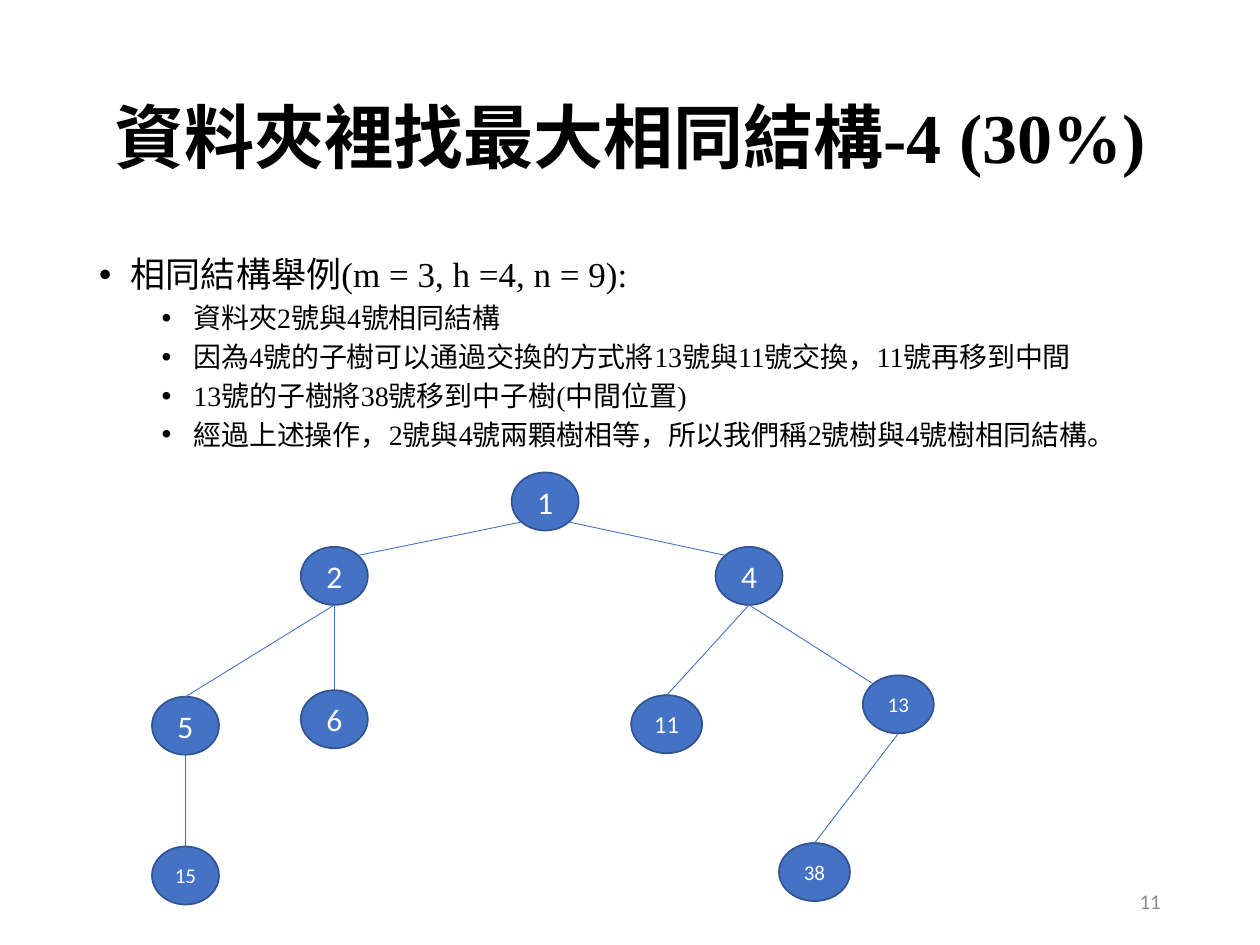
from math import hypot

from lxml import etree
from pptx import Presentation
from pptx import util as u
from pptx.dml.color import RGBColor
from pptx.enum import shapes, text
from pptx.oxml.ns import qn

COLORS = {"ink": "000000", "page_number": "8C8C8C", "node": "4472C4",
          "node_border": "325491", "node_label": "FFFFFF", "edge": "4472C4"}
SERIF, SANS = "Times New Roman", "Calibri"

TITLE = "資料夾裡找最大相同結構-4 (30%)"
EXAMPLE = [
    (0, "相同結構舉例(m = 3, h =4, n = 9):"),
    (1, "資料夾2號與4號相同結構"),
    (1, "因為4號的子樹可以通過交換的方式將13號與11號交換，11號再移到中間"),
    (1, "13號的子樹將38號移到中子樹(中間位置)"),
    (1, "經過上述操作，2號與4號兩顆樹相等，所以我們稱2號樹與4號樹相同結構。"),
]
PAGE_NUMBER = "11"

# Per outline level: size in points, space before in points, indent in cm
LEVELS = [(20, 10, 0.64), (16, 5, 1.9)]
HANGING = 0.64

# Label: centre x, centre y, width (cm), text size (pt)
NODE_HEIGHT = 1.17
NODES = {
    "1": (10.99, 10.11, 1.35, 18),
    "2": (6.74, 11.61, 1.35, 18),
    "4": (15.1, 11.61, 1.35, 18),
    "6": (6.74, 14.5, 1.35, 18),
    "11": (13.44, 14.6, 1.43, 14),
    "13": (18.11, 14.2, 1.43, 12),
    "5": (3.74, 14.63, 1.35, 18),
    "15": (3.74, 17.65, 1.35, 12),
    "38": (16.42, 17.58, 1.43, 12),
}

# Parent, child, and the direction of the rim point each end touches
TOP, BOTTOM = (0, -1), (0, 1)
TOP_LEFT, TOP_RIGHT = (-1, -1), (1, -1)
BOTTOM_LEFT, BOTTOM_RIGHT = (-1, 1), (1, 1)
EDGES = [
    ("1", "2", BOTTOM_LEFT, TOP_RIGHT),
    ("1", "4", BOTTOM_RIGHT, TOP_LEFT),
    ("2", "5", BOTTOM, TOP),
    ("2", "6", BOTTOM, TOP),
    ("4", "11", BOTTOM, TOP),
    ("4", "13", BOTTOM, TOP_LEFT),
    ("5", "15", BOTTOM, TOP),
    ("13", "38", BOTTOM, TOP),
]


def rgb(name):
    return RGBColor.from_string(COLORS[name])


def set_all(target, values):
    for key, value in values.items():
        setattr(target, key, value)


def write(paragraph, words, color, **font):
    run = paragraph.add_run()
    run.text = words
    set_all(run.font, font)
    run.font.color.rgb = rgb(color)


def add_text_frame(slide, left, top, width, height, anchor):
    box = slide.shapes.add_textbox(*map(u.Cm, (left, top, width, height)))
    set_all(box.text_frame, {"word_wrap": True, "vertical_anchor": anchor})
    return box.text_frame


def add_bullet(paragraph, indent):
    props = paragraph._p.get_or_add_pPr()
    props.set("marL", str(u.Cm(indent)))
    props.set("indent", str(-u.Cm(HANGING)))
    etree.SubElement(props, qn("a:buFont"), typeface="Arial")
    etree.SubElement(props, qn("a:buChar"), char="•")


def add_outline(frame):
    for i, (level, words) in enumerate(EXAMPLE):
        size, before, indent = LEVELS[level]
        paragraph = frame.add_paragraph() if i else frame.paragraphs[0]
        set_all(paragraph, {"level": level, "line_spacing": 0.9,
                            "space_before": u.Pt(before)})
        add_bullet(paragraph, indent)
        write(paragraph, words, "ink", name=SERIF, size=u.Pt(size))


def add_node(slide, label):
    x, y, width, size = NODES[label]
    node = slide.shapes.add_shape(
        shapes.MSO_SHAPE.OVAL, u.Cm(x - width / 2), u.Cm(y - NODE_HEIGHT / 2),
        u.Cm(width), u.Cm(NODE_HEIGHT))
    node.shadow.inherit = False
    node.fill.solid()
    node.fill.fore_color.rgb = rgb("node")
    node.line.color.rgb = rgb("node_border")
    node.line.width = u.Pt(1)
    set_all(node.text_frame, {"margin_left": 0, "margin_right": 0,
                              "vertical_anchor": text.MSO_ANCHOR.MIDDLE})
    paragraph = node.text_frame.paragraphs[0]
    paragraph.alignment = text.PP_ALIGN.CENTER
    write(paragraph, label, "node_label", name=SANS, size=u.Pt(size))
    return node


def rim_point(label, direction):
    x, y, width, _ = NODES[label]
    dx, dy = direction
    reach = hypot(dx, dy)
    return (u.Cm(x + width / 2 * dx / reach),
            u.Cm(y + NODE_HEIGHT / 2 * dy / reach))


def add_edge(slide, nodes, parent, child, leaving, arriving):
    edge = slide.shapes.add_connector(
        shapes.MSO_CONNECTOR.STRAIGHT,
        *rim_point(parent, leaving), *rim_point(child, arriving))
    if arriving == TOP:
        edge.end_connect(nodes[child], 0)
    edge.line.color.rgb = rgb("edge")
    edge.line.width = u.Pt(0.5)
    etree.SubElement(edge._element.spPr, qn("a:effectLst"))


def main():
    deck = Presentation()
    set_all(deck, {"slide_width": u.Cm(25.4), "slide_height": u.Cm(19.05)})
    slide = deck.slides.add_slide(deck.slide_layouts[6])

    middle = text.MSO_ANCHOR.MIDDLE
    title = add_text_frame(slide, 1.75, 1.01, 21.9, 3.68, middle).paragraphs[0]
    set_all(title, {"alignment": text.PP_ALIGN.CENTER, "line_spacing": 0.9})
    write(title, TITLE, "ink", name=SERIF, size=u.Pt(40), bold=True)

    add_outline(add_text_frame(slide, 1.75, 5.07, 21.9, 13.6,
                               text.MSO_ANCHOR.TOP))

    number = add_text_frame(slide, 17.94, 17.66, 5.71, 1.01, middle).paragraphs[0]
    number.alignment = text.PP_ALIGN.RIGHT
    write(number, PAGE_NUMBER, "page_number", name=SANS, size=u.Pt(12))

    nodes = {label: add_node(slide, label) for label in NODES}
    for edge in EDGES:
        add_edge(slide, nodes, *edge)

    deck.save("out.pptx")


if __name__ == "__main__":
    main()
